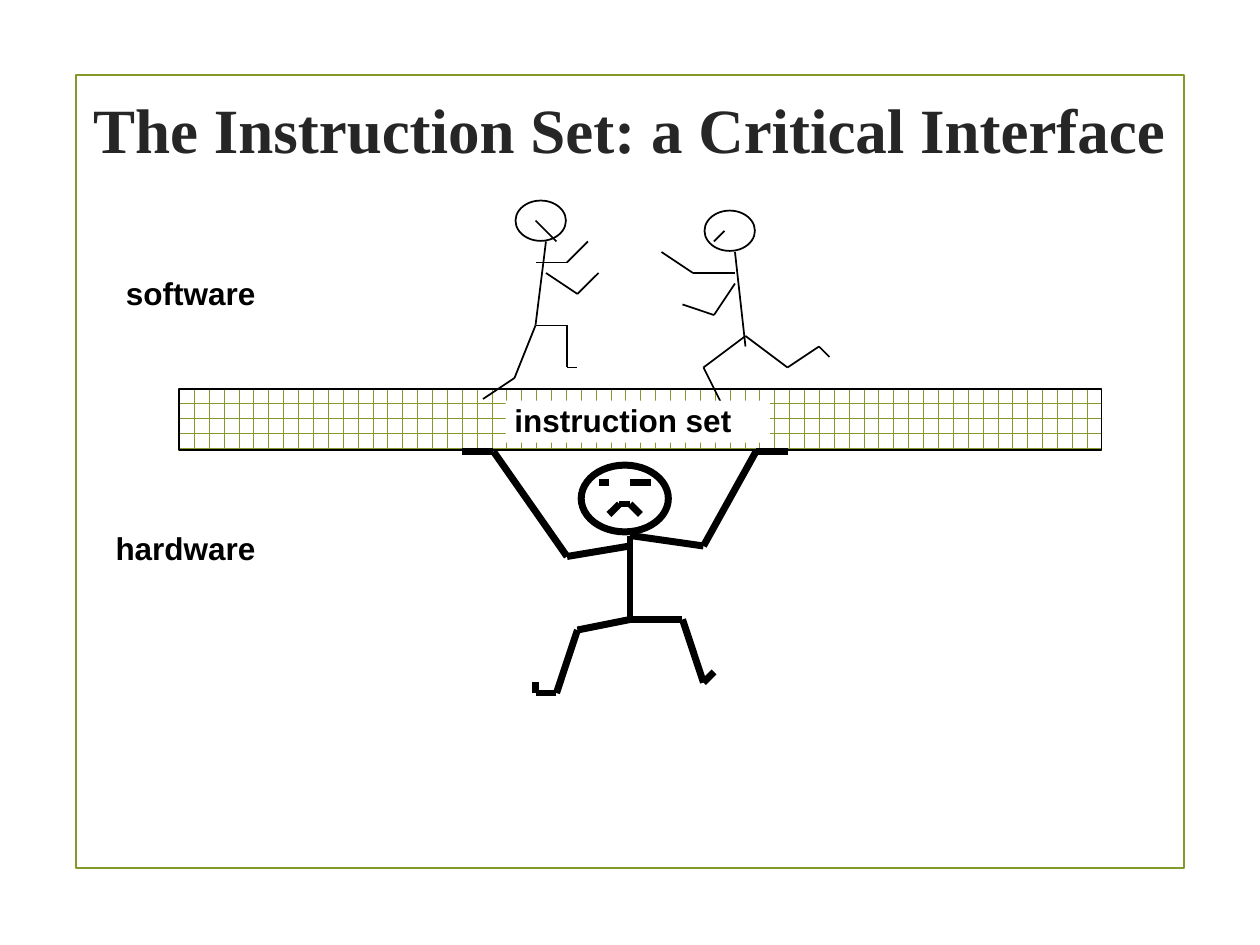
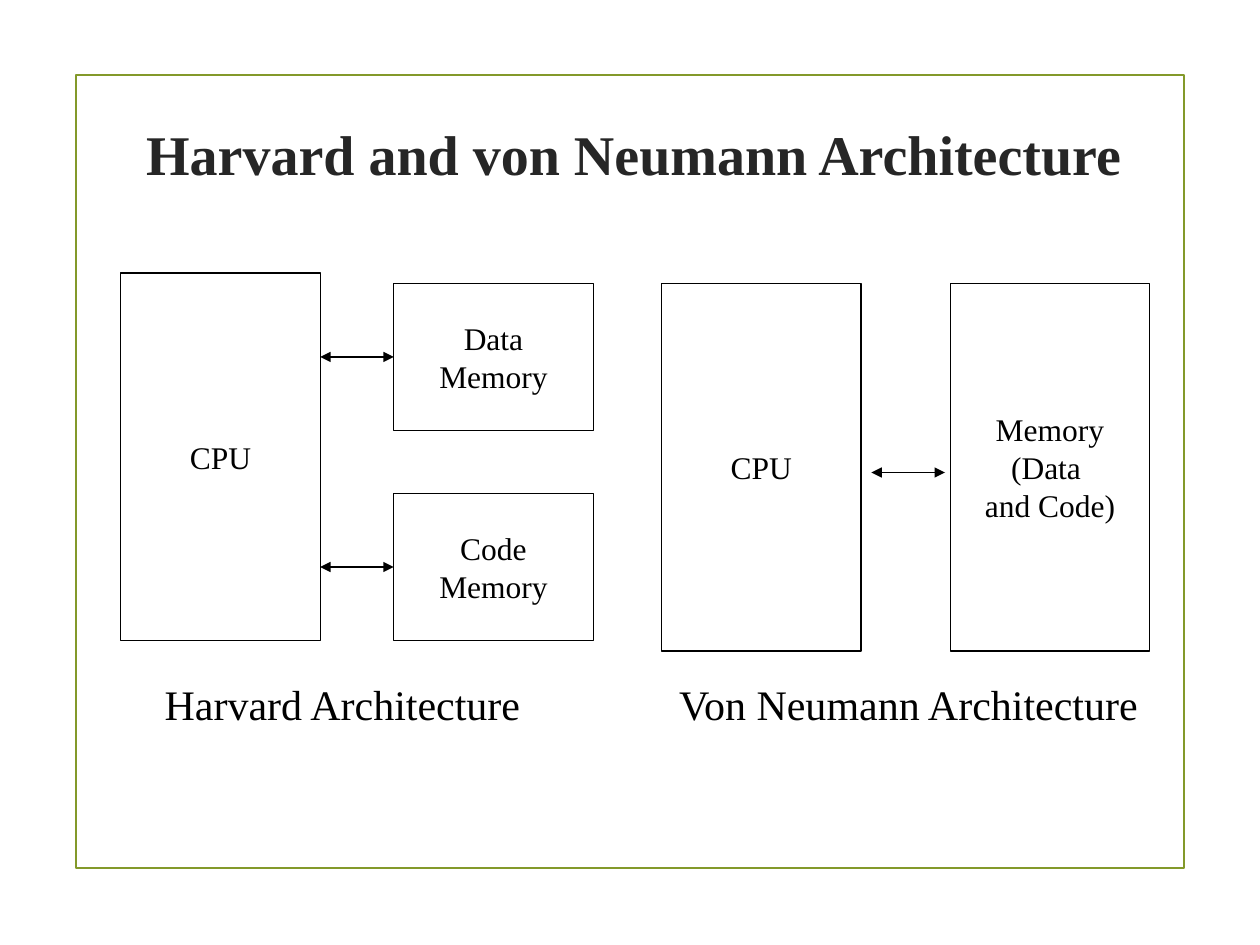
from itertools import pairwise

from lxml.etree import SubElement
from pptx import Presentation
from pptx.dml.color import RGBColor
from pptx.enum.dml import MSO_PATTERN as Pattern
from pptx.enum.shapes import MSO_CONNECTOR as Link, MSO_SHAPE as Shape
from pptx.enum.text import MSO_ANCHOR as Anchor, MSO_AUTO_SIZE as Fit, PP_ALIGN as Align
from pptx.oxml.ns import qn
from pptx.util import Inches, Pt

WIDTH, HEIGHT = Inches(10), Inches(7.5)
COLUMNS, ROWS = 120, 90
COLORS = {"ink": "000000", "title": "262626", "accent": "83992A", "paper": "FFFFFF"}
SERIF, SANS = "Times New Roman", "Arial"
THIN, THICK, BOX_LINE, FRAME_LINE = 1, 4, 0.75, 1.25

WIDE_INSETS = {"margin_left": Inches(0.1), "margin_right": Inches(0.1),
               "margin_top": Inches(0.05), "margin_bottom": Inches(0.05)}
TIGHT_INSETS = {"margin_left": Inches(0.07), "margin_right": Inches(0.07),
                "margin_top": Inches(0.03), "margin_bottom": Inches(0.03)}
LABEL_FONT = {"name": SANS, "size": Pt(18), "bold": True}
BOX_FONT = {"name": SERIF, "size": Pt(18)}
CAPTION_FONT = {"name": SERIF, "size": Pt(24)}

RUNNER_HEAD = (4.8, 3.84)
LEFT_RUNNER = {
    "head": (3.1, 0.1, *RUNNER_HEAD),
    "strokes": [
        [(6, 4), (5, 12)],
        [(5, 12), (8, 12), (8, 16), (9, 16)],
        [(5, 12), (3, 17), (0, 19)],
        [(6, 7), (9, 9), (11, 7)],
        [(5, 6), (8, 6), (10, 4)],
        [(7, 4), (5, 2)],
    ],
}
RIGHT_RUNNER = {
    "head": (4.1, 0.06, *RUNNER_HEAD),
    "strokes": [
        [(7, 4), (8, 13)],
        [(8, 12), (4, 15), (6, 19)],
        [(8, 12), (12, 15), (15, 13), (16, 14)],
        [(7, 7), (5, 10), (2, 9)],
        [(7, 6), (3, 6), (0, 4)],
        [(5, 3), (6, 2)],
    ],
}
CARRIER = {
    "head": (11.35, 1.3, 8.3, 6.36),
    "strokes": [
        [(14, 6), (15, 5), (16, 5), (17, 6)],
        [(16, 3), (18, 3)],
        [(14, 3), (13, 3)],
        [(16, 8), (16, 16)],
        [(16, 16), (21, 16), (23, 22), (24, 21)],
        [(16, 16), (11, 17), (9, 23), (7, 23), (7, 22)],
        [(16, 8), (23, 9), (28, 0), (31, 0)],
        [(16, 9), (10, 10), (3, 0), (0, 0)],
    ],
}
HARVARD = {
    "blocks": [
        ("CPU", (0, 0, 19, 35)),
        ("Data\nMemory", (26, 1, 19, 14)),
        ("Code\nMemory", (26, 21, 19, 14)),
    ],
    "arrows": [[(19, 8), (26, 8)], [(19, 28), (26, 28)]],
    "caption": ("Harvard Architecture", (3, 38, 36.5, 6)),
}
VON_NEUMANN = {
    "blocks": [
        ("CPU", (0, 0, 19, 35)),
        ("Memory\n(Data \nand Code)", (27.5, 0, 19, 35)),
    ],
    "arrows": [[(20, 18), (27, 18)]],
    "caption": ("Von Neumann Architecture", (0.5, 37, 46.8, 6)),
}


def color(name):
    return RGBColor.from_string(COLORS[name])


def across(columns):
    return round(WIDTH * columns / COLUMNS)


def down(rows):
    return round(HEIGHT * rows / ROWS)


def place(box, origin=(0, 0)):
    left, top, width, height = box
    return across(origin[0] + left), down(origin[1] + top), across(width), down(height)


def apply(target, formats):
    for name, value in formats.items():
        setattr(target, name, value)


def draw_line_style(line, weight, name="ink"):
    line.color.rgb = color(name)
    line.width = Pt(weight)


def write(frame, text, font, insets, para_format, anchor=Anchor.TOP, ink="ink"):
    frame.text = text
    apply(frame, {"auto_size": Fit.NONE, "word_wrap": True, "vertical_anchor": anchor, **insets})
    for para in frame.paragraphs:
        apply(para, para_format)
        for span in para.runs:
            apply(span.font, font)
            span.font.color.rgb = color(ink)


def add_outline(canvas, kind, bounds, weight, ink="ink"):
    shape = canvas.add_shape(kind, *bounds)
    shape.shadow.inherit = False
    shape.fill.background()
    draw_line_style(shape.line, weight, ink)
    return shape


def add_stroke(canvas, origin, start, end, weight, arrows=False):
    column, row = origin
    ends = [(across(column + x), down(row + y)) for x, y in (start, end)]
    stroke = canvas.add_connector(Link.STRAIGHT, *ends[0], *ends[1])
    draw_line_style(stroke.line, weight)
    if arrows:
        outline = stroke._element.spPr.find(qn("a:ln"))
        for tag in ("a:headEnd", "a:tailEnd"):
            SubElement(outline, qn(tag), type="triangle")
    SubElement(stroke._element.spPr, qn("a:effectLst"))


def add_label(page, text, box, spacing, backed=False):
    label = page.shapes.add_textbox(*place(box))
    if backed:
        label.fill.solid()
        label.fill.fore_color.rgb = color("paper")
    write(label.text_frame, text, LABEL_FONT, TIGHT_INSETS,
          {"line_spacing": spacing, "alignment": Align.LEFT})
    label.text_frame.word_wrap = backed


def add_figure(page, origin, figure, weight):
    canvas = page.shapes.add_group_shape().shapes
    add_outline(canvas, Shape.OVAL, place(figure["head"], origin), weight)
    for stroke in figure["strokes"]:
        for start, end in pairwise(stroke):
            add_stroke(canvas, origin, start, end, weight)


def add_architecture(page, origin, design):
    canvas = page.shapes.add_group_shape().shapes
    for text, box in design["blocks"]:
        block = add_outline(canvas, Shape.RECTANGLE, place(box, origin), BOX_LINE)
        write(block.text_frame, text, BOX_FONT, WIDE_INSETS,
              {"alignment": Align.CENTER}, Anchor.MIDDLE)
    for start, end in design["arrows"]:
        add_stroke(canvas, origin, start, end, BOX_LINE, arrows=True)
    text, box = design["caption"]
    caption = canvas.add_textbox(*place(box, origin))
    write(caption.text_frame, text, CAPTION_FONT, WIDE_INSETS, {"alignment": Align.LEFT})


def add_page(deck, title, box, size, insets, anchor):
    page = deck.slides.add_slide(deck.slide_layouts.get_by_name("Title Only"))
    heading = page.shapes.title
    apply(heading, dict(zip(("left", "top", "width", "height"), place(box))))
    write(heading.text_frame, title, {"name": SERIF, "size": Pt(size), "bold": True},
          insets, {"alignment": Align.CENTER}, anchor, "title")
    return page


def add_shared_frame(page):
    frame = add_outline(page.shapes, Shape.RECTANGLE, place((7.26, 7.14, 105.5, 75.54)),
                        FRAME_LINE, "accent")
    page.slide_layout.shapes._spTree.insert(2, frame._element)


def build_interface(deck):
    page = add_page(deck, "The Instruction Set: a Critical Interface",
                    (5.9, 8.3, 108.1, 7.9), 36, TIGHT_INSETS, Anchor.TOP)
    add_shared_frame(page)
    bar = add_outline(page.shapes, Shape.RECTANGLE, place((17.08, 37.04, 87.84, 5.86)), THIN)
    bar.fill.patterned()
    apply(bar.fill, {"pattern": Pattern.HORIZONTAL_BRICK})
    bar.fill.fore_color.rgb = color("accent")
    bar.fill.back_color.rgb = color("paper")
    add_figure(page, (46, 19), LEFT_RUNNER, THIN)
    add_figure(page, (63, 20), RIGHT_RUNNER, THIN)
    add_figure(page, (44, 43), CARRIER, THICK)
    add_label(page, "instruction set", (48.16, 38.16, 25.2, 4), 0.92, backed=True)
    add_label(page, "software", (11.16, 26.3, 14.04, 3.7), 0.85)
    add_label(page, "hardware", (10.16, 50.55, 15.04, 3.7), 0.85)


def build_architectures(deck):
    page = add_page(deck, "Harvard and von Neumann Architecture",
                    (8, 6, 104.8, 17.2), 32, WIDE_INSETS, Anchor.MIDDLE)
    add_architecture(page, (11.5, 26), HARVARD)
    add_architecture(page, (63, 27), VON_NEUMANN)


def main():
    deck = Presentation()
    apply(deck, {"slide_width": WIDTH, "slide_height": HEIGHT})
    build_interface(deck)
    build_architectures(deck)
    deck.save("out.pptx")


if __name__ == "__main__":
    main()
